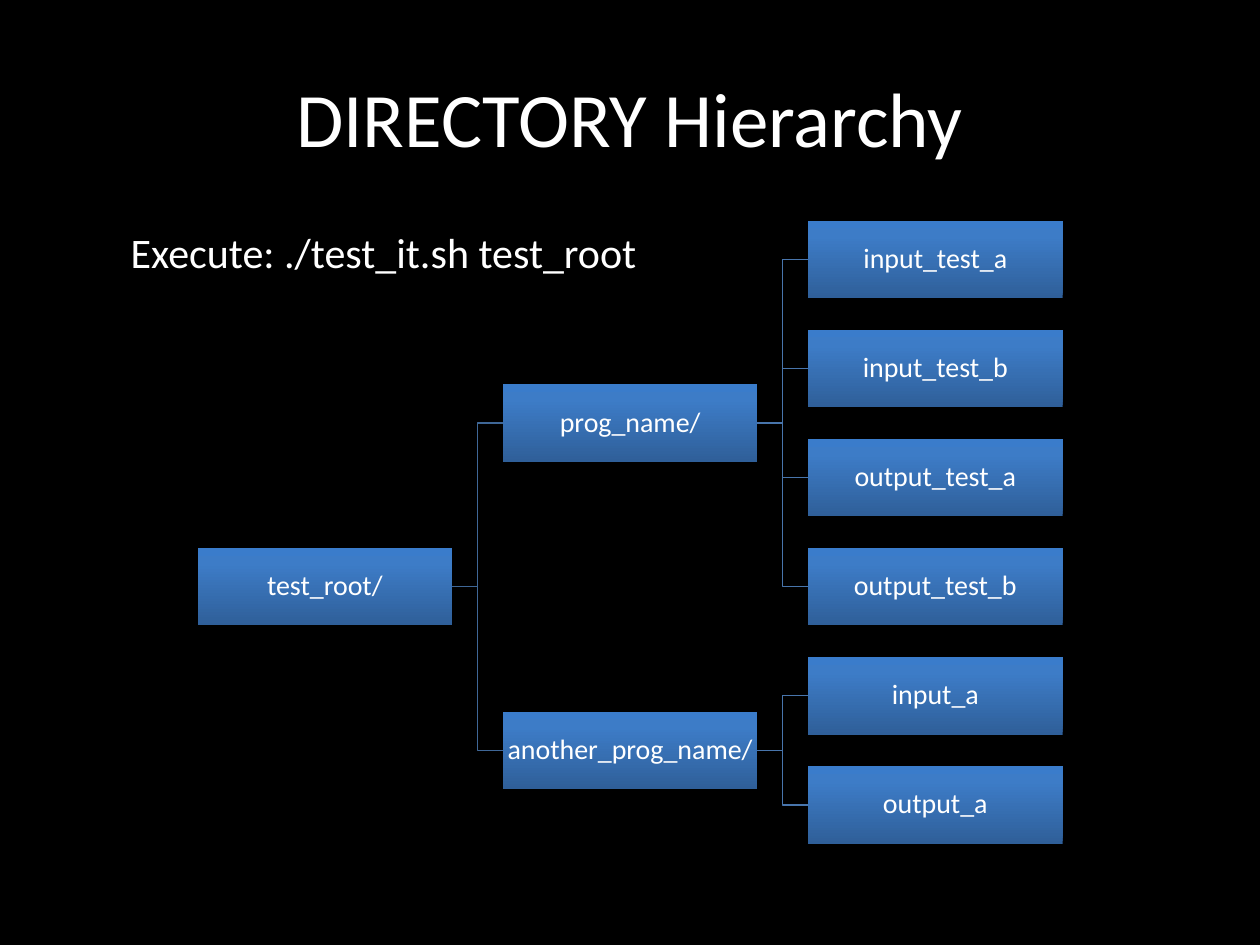
from copy import deepcopy

from pptx import Presentation
from pptx import util as u
from pptx.dml.color import RGBColor
from pptx.enum import shapes, text
from pptx.oxml.ns import qn

COLORS = {
    "page": "000000",
    "text": "FFFFFF",
    "trunk": "3F6797",
    "branch": "4875AC",
    "box bottom": "2F5F99",
    "box upper": "3D7CC7",
    "box top": "3A7CCB",
}
GRADIENT = [(0, "box bottom"), (0.8, "box upper"), (1, "box top")]
TREE = ("test_root/", [
    ("prog_name/", [
        ("input_test_a", []),
        ("input_test_b", []),
        ("output_test_a", []),
        ("output_test_b", []),
    ]),
    ("another_prog_name/", [
        ("input_a", []),
        ("output_a", []),
    ]),
])
BOX_WIDTH, BOX_HEIGHT = 145.4, 44.35
FIRST_LEFT, COLUMN_STEP = 113, 174.4
FIRST_MIDDLE, ROW_STEP = 148.2, 62.35


class Slide:
    font = "Calibri"

    def __init__(self, deck):
        self.page = deck.slides.add_slide(deck.slide_layouts[6])
        fill = self.page.background.fill
        fill.solid()
        fill.fore_color.rgb = self.color("page")

    def color(self, name):
        return RGBColor.from_string(COLORS[name])

    def set_text(self, shape, words, size, align):
        para = shape.text_frame.paragraphs[0]
        para.text = words
        para.alignment = align
        para.font.name = self.font
        para.font.size = u.Pt(size)
        para.font.color.rgb = self.color("text")
        return para

    def label(self, words, left, top, width, height, size,
              align=text.PP_ALIGN.LEFT, anchor=text.MSO_ANCHOR.TOP, wrap=True):
        box = self.page.shapes.add_textbox(
            u.Pt(left), u.Pt(top), u.Pt(width), u.Pt(height))
        box.text_frame.word_wrap = wrap
        box.text_frame.vertical_anchor = anchor
        self.set_text(box, words, size, align)

    def elbow(self, start, end, color):
        (x1, y1), (x2, y2) = start, end
        middle = (x1 + x2) / 2
        builder = self.page.shapes.build_freeform(u.Pt(x1), u.Pt(y1))
        corners = [(middle, y1), (middle, y2), (x2, y2)]
        builder.add_line_segments(
            [(u.Pt(x), u.Pt(y)) for x, y in corners], close=False)
        link = builder.convert_to_shape()
        link.shadow.inherit = False
        link.fill.background()
        link.line.color.rgb = self.color(color)
        link.line.width = u.Pt(0.75)

    def node(self, words, left, middle):
        box = self.page.shapes.add_shape(
            shapes.MSO_SHAPE.RECTANGLE,
            u.Pt(left), u.Pt(middle - BOX_HEIGHT / 2),
            u.Pt(BOX_WIDTH), u.Pt(BOX_HEIGHT))
        box.shadow.inherit = False
        box.line.fill.background()
        box.fill.gradient()
        box.fill.gradient_angle = 90
        stops = box._element.spPr.find(qn("a:gradFill")).find(qn("a:gsLst"))
        stops.append(deepcopy(stops[-1]))
        for stop, (position, color) in zip(box.fill.gradient_stops, GRADIENT):
            stop.position = position
            stop.color.rgb = self.color(color)
        frame = box.text_frame
        frame.word_wrap = True
        frame.vertical_anchor = text.MSO_ANCHOR.MIDDLE
        frame.margin_left = frame.margin_right = u.Pt(0.8)
        frame.margin_top = frame.margin_bottom = u.Pt(0.8)
        para = self.set_text(box, words, 16, text.PP_ALIGN.CENTER)
        para.line_spacing = 0.9


def arrange(tree, depth, first_row, nodes, links):
    name, children = tree
    left = FIRST_LEFT + depth * COLUMN_STEP
    next_row = first_row
    middles = []
    for child in children:
        middle, next_row = arrange(child, depth + 1, next_row, nodes, links)
        middles.append(middle)
    if children:
        own_middle = (middles[0] + middles[-1]) / 2
    else:
        own_middle = FIRST_MIDDLE + first_row * ROW_STEP
        next_row += 1
    color = "branch" if depth else "trunk"
    for middle in middles:
        links.append(((left + BOX_WIDTH, own_middle),
                      (left + COLUMN_STEP, middle), color))
    nodes.append((name, left, own_middle))
    return own_middle, next_row


def main():
    deck = Presentation()
    deck.slide_width, deck.slide_height = u.Pt(720), u.Pt(540)
    slide = Slide(deck)
    slide.label("DIRECTORY Hierarchy", 36, 21.6, 648, 90, 44,
                text.PP_ALIGN.CENTER, text.MSO_ANCHOR.MIDDLE)
    nodes, links = [], []
    arrange(TREE, 0, 0, nodes, links)
    for link in links:
        slide.elbow(*link)
    for node in nodes:
        slide.node(*node)
    slide.label("Execute: ./test_it.sh test_root", 67.6, 126, 309, 36, 24,
                wrap=False)
    deck.save("out.pptx")


if __name__ == "__main__":
    main()
